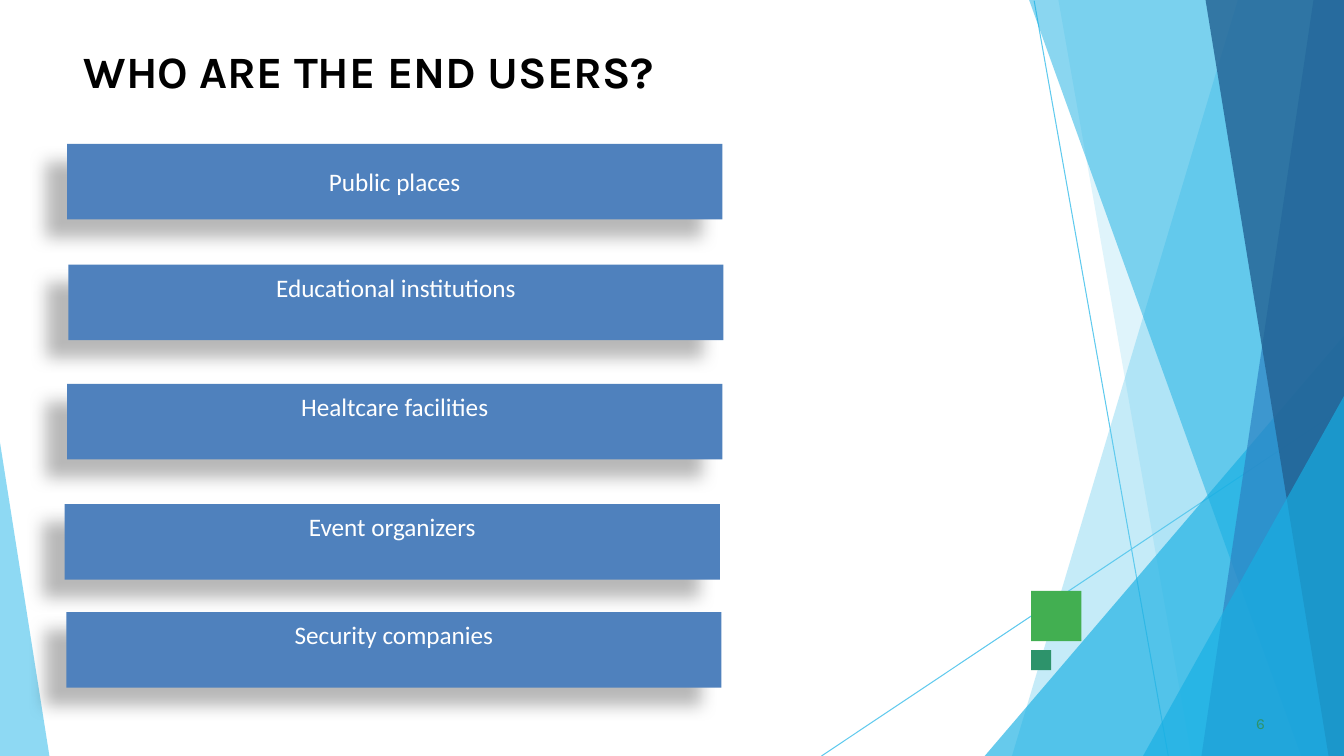
from lxml import etree
from pptx import Presentation
from pptx.dml.color import RGBColor
from pptx.enum import shapes, text
from pptx.oxml import ns
from pptx.util import Pt

WHITE = RGBColor(0xFF, 0xFF, 0xFF)
BLACK = RGBColor(0x00, 0x00, 0x00)
SKY = RGBColor(0x5F, 0xCA, 0xEE)
CYAN = RGBColor(0x17, 0xAF, 0xE3)
BLUE = RGBColor(0x2D, 0x83, 0xC3)
NAVY = RGBColor(0x22, 0x61, 0x92)
GREEN = RGBColor(0x42, 0xAF, 0x51)
TEAL = RGBColor(0x2D, 0x93, 0x6B)
BAR_BLUE = RGBColor(0x4F, 0x81, 0xBD)

WIDTH, HEIGHT = 960, 540
TITLE = "WHO ARE THE END USERS?"
PAGE_NUMBER = "6"
LINES = [(738.7, 0.5, 834.5, HEIGHT), (WIDTH, 290.9, 586.8, HEIGHT)]
RIGHT_FACETS = [
    (884.2, 0, 722.9, SKY, 36),
    (756, 0, 851, SKY, 20),
    (WIDTH, 239.8, 703.4, CYAN, 66),
    (735.1, 0, 929.5, CYAN, 50),
    (938.2, 0, 858.2, BLUE, 70),
    (861.1, 0, 949, NAVY, 80),
    (WIDTH, 283, 816.5, CYAN, 66),
]
LEFT_FACET = [(0, 316.1), (0, HEIGHT), (35.3, HEIGHT)]
SQUARES = [(736.5, 422, 36, GREEN), (736.5, 464.4, 14.4, TEAL)]
BAR_WIDTH, BAR_HEIGHT = 468, 54
RAISED = 22
BARS = [
    ("Public places", 48, 102.8, 0),
    ("Educational institutions", 48.8, 189, RAISED),
    ("Healtcare facilities", 48, 274.2, RAISED),
    ("Event organizers", 46.2, 360, RAISED),
    ("Security companies", 47.4, 437.2, RAISED),
]


def paint(shape, color):
    shape.shadow.inherit = False
    shape.fill.solid()
    shape.fill.fore_color.rgb = color
    shape.line.fill.background()


def set_alpha(color_element, percent):
    etree.SubElement(color_element, ns.qn("a:alpha"), val=str(percent * 1000))


def add_facet(page, points, color, opacity):
    corners = [(Pt(x), Pt(y)) for x, y in points]
    builder = page.shapes.build_freeform(*corners[0])
    builder.add_line_segments(corners[1:], close=True)
    facet = builder.convert_to_shape()
    paint(facet, color)
    set_alpha(facet.fill._xPr.find(".//" + ns.qn("a:srgbClr")), opacity)


def add_rectangle(page, left, top, width, height, color):
    box = page.shapes.add_shape(
        shapes.MSO_SHAPE.RECTANGLE, Pt(left), Pt(top), Pt(width), Pt(height))
    paint(box, color)
    return box


def add_shadow(box):
    effects = box._element.spPr.find(ns.qn("a:effectLst"))
    shadow = etree.SubElement(
        effects, ns.qn("a:outerShdw"), blurRad=str(Pt(11.8)), dist=str(Pt(19.7)),
        dir=str(141 * 60000), algn="ctr", rotWithShape="0")
    set_alpha(etree.SubElement(shadow, ns.qn("a:srgbClr"), val=str(BLACK)), 28)


def write(box, words, font, size, color, bold=False):
    para = box.text_frame.paragraphs[0]
    para.text = words
    span = para.runs[0]
    span.font.name = font
    span.font.size = Pt(size)
    span.font.color.rgb = color
    span.font.bold = bold
    return para


def add_label(page, left, top, width, height, inset, words, size, color, bold):
    box = page.shapes.add_textbox(Pt(left), Pt(top), Pt(width), Pt(height))
    frame = box.text_frame
    frame.word_wrap = True
    frame.margin_left = frame.margin_right = frame.margin_bottom = 0
    frame.margin_top = Pt(inset)
    return write(box, words, "Karla", size, color, bold)


def main():
    deck = Presentation()
    deck.slide_width, deck.slide_height = Pt(WIDTH), Pt(HEIGHT)
    page = deck.slides.add_slide(deck.slide_layouts[6])

    for ends in LINES:
        line = page.shapes.add_connector(
            shapes.MSO_CONNECTOR.STRAIGHT, *[Pt(value) for value in ends])
        line.line.color.rgb = SKY
        line.line.width = Pt(0.75)
        etree.SubElement(line._element.spPr, ns.qn("a:effectLst"))

    for x, top, foot, color, opacity in RIGHT_FACETS:
        points = [(x, top), (foot, HEIGHT), (WIDTH, HEIGHT)]
        if x < WIDTH:
            points.append((WIDTH, top))
        add_facet(page, points, color, opacity)
    add_facet(page, LEFT_FACET, SKY, 70)

    for left, top, side, color in SQUARES:
        add_rectangle(page, left, top, side, side, color)

    title = add_label(page, 59.8, 30.2, 841, 59.8, 1.3, TITLE, 32, BLACK, True)
    title.space_before = Pt(1.3)
    number = add_label(page, 894.2, 509.8, 14, 15, 0.6, PAGE_NUMBER, 11, TEAL, False)
    number.space_before = Pt(0.6)
    number._p.get_or_add_pPr().set("marL", str(Pt(3)))

    for words, left, top, lift in BARS:
        bar = add_rectangle(page, left, top, BAR_WIDTH, BAR_HEIGHT, BAR_BLUE)
        add_shadow(bar)
        bar.text_frame.vertical_anchor = text.MSO_ANCHOR.MIDDLE
        bar.text_frame.margin_bottom = Pt(3.6 + lift)
        para = write(bar, words, "Calibri", 18, WHITE)
        para.alignment = text.PP_ALIGN.CENTER

    deck.save("out.pptx")


if __name__ == "__main__":
    main()
